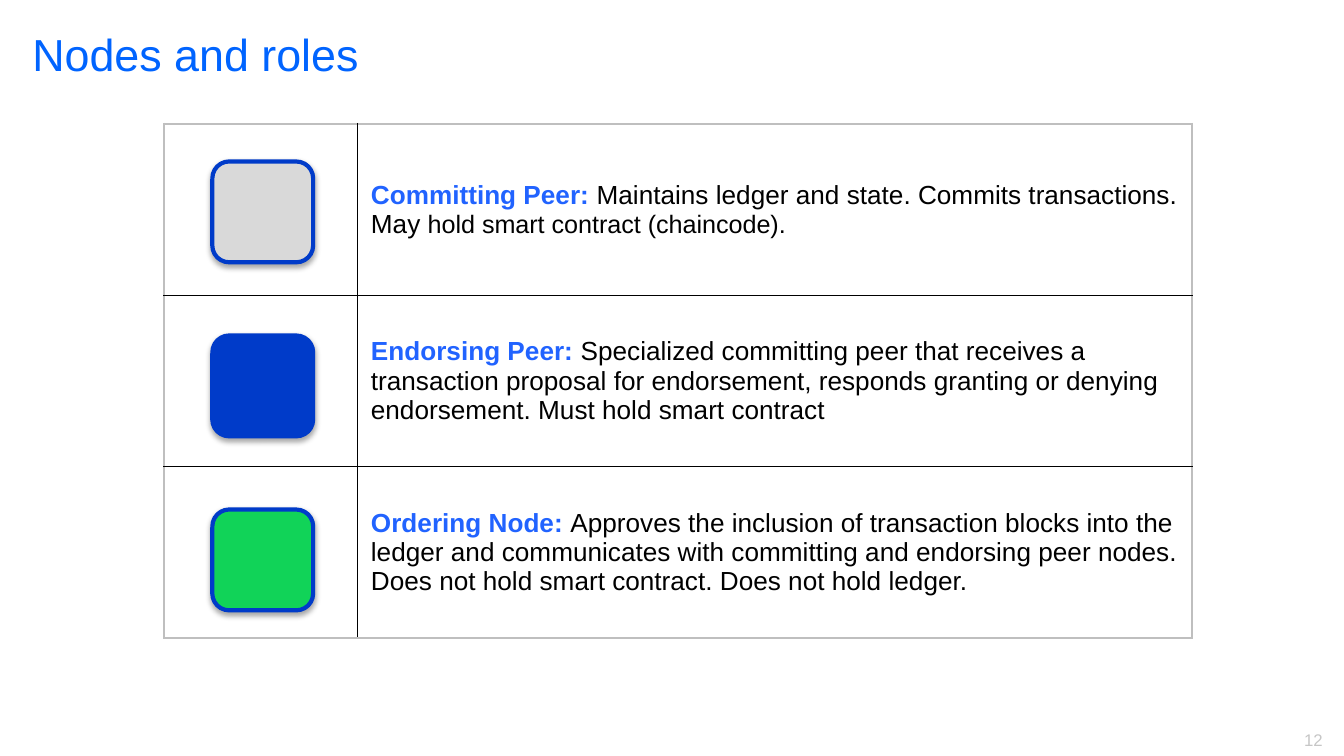
from dataclasses import dataclass

from lxml import etree
from pptx import Presentation, util as u
from pptx.dml.color import RGBColor
from pptx.enum import shapes, text
from pptx.oxml import ns

COLORS = {"title": "0064FF", "role": "2163FF", "text": "000000", "number": "C6C6C6",
          "frame": "BFBFBF", "rule": "000000", "outline": "003BC9", "committing": "D9D9D9",
          "endorsing": "003BC9", "ordering": "11D358"}
FONT = "Arial"
WIDTH = u.Inches(10)
HEIGHT = WIDTH * 9 // 16


@dataclass
class Box:
    """An area in percent of the slide's width and height."""
    left: float
    top: float
    width: float
    height: float

    def lengths(self) -> tuple:
        return (int(WIDTH * self.left / 100), int(HEIGHT * self.top / 100),
                int(WIDTH * self.width / 100), int(HEIGHT * self.height / 100))


@dataclass
class Role:
    name: str
    color: str
    description: str
    ending: str = ""


ROLES = [
    Role("Committing Peer:", "committing",
         " Maintains ledger and state. Commits transactions. May ",
         "hold smart contract (chaincode)."),
    Role("Endorsing Peer:", "endorsing",
         " Specialized committing peer that receives a transaction proposal for endorsement, "
         "responds granting or denying endorsement. Must hold smart contract"),
    Role("Ordering Node: ", "ordering",
         "Approves the inclusion of transaction blocks into the ledger and communicates with "
         "committing and endorsing peer nodes. Does not hold smart contract. "
         "Does not hold ledger."),
]
TITLE = Box(1.4, 2.84, 85, 19.73)
NUMBER = Box(93.6, 95.7, 5.8, 4.44)
TABLE = Box(12.2, 16.4, 76.5, 68)
TABLE_COLUMNS = (14.4, 62.1)
ICON = Box(15.8, 21.36, 7.5, 13.33)
ICON_PITCH = 23.02


def set_format(target, **values) -> None:
    for name, value in values.items():
        setattr(target, name, value)


def add_run(paragraph, words: str, color: str, size: float, bold: bool = False) -> None:
    run = paragraph.add_run()
    run.text = words
    set_format(run.font, name=FONT, size=u.Pt(size), bold=bold)
    run.font.color.rgb = RGBColor.from_string(COLORS[color])


def add_border(cell, side: str, color: str, points: float) -> None:
    line = etree.SubElement(cell._tc.get_or_add_tcPr(), ns.qn(f"a:ln{side}"),
                            w=str(u.Pt(points)))
    fill = etree.SubElement(line, ns.qn("a:solidFill"))
    etree.SubElement(fill, ns.qn("a:srgbClr"), val=COLORS[color])


def style_cell(cell, row: int, column: int) -> None:
    # Grey frame outside, black rules between cells
    edges = {"L": column == 0, "R": column == 1, "T": row == 0, "B": row == len(ROLES) - 1}
    outer_points = {"L": 0.75, "R": 1, "T": 1.5, "B": 1.5}
    inner_points = {"L": 1, "R": 1, "T": 0.75, "B": 0.75}
    for side, outer in edges.items():
        points = outer_points[side] if outer else inner_points[side]
        add_border(cell, side, "frame" if outer else "rule", points)
    cell.fill.background()
    cell.vertical_anchor = text.MSO_ANCHOR.MIDDLE


def add_role_table(slide) -> None:
    table = slide.shapes.add_table(len(ROLES), 2, *TABLE.lengths()).table
    set_format(table, first_row=False, horz_banding=False)
    for column, share in zip(table.columns, TABLE_COLUMNS):
        column.width = int(WIDTH * share / 100)
    for row, role in enumerate(ROLES):
        for column in range(2):
            style_cell(table.cell(row, column), row, column)
        paragraph = table.cell(row, 1).text_frame.paragraphs[0]
        add_run(paragraph, role.name, "role", 14, True)
        add_run(paragraph, role.description, "text", 14)
        if role.ending:
            add_run(paragraph, role.ending, "text", 13.5)


def add_shadow(shape) -> None:
    shape.shadow.inherit = False
    effects = shape._element.spPr.find(ns.qn("a:effectLst"))
    shadow = etree.SubElement(effects, ns.qn("a:outerShdw"), blurRad=str(u.Pt(3.1)),
                              dist=str(u.Pt(1.8)), dir="5400000", rotWithShape="0")
    color = etree.SubElement(shadow, ns.qn("a:srgbClr"), val=COLORS["text"])
    etree.SubElement(color, ns.qn("a:alpha"), val="35000")


def add_icon(slide, row: int, role: Role) -> None:
    box = Box(ICON.left, ICON.top + row * ICON_PITCH, ICON.width, ICON.height)
    icon = slide.shapes.add_shape(shapes.MSO_SHAPE.ROUNDED_RECTANGLE, *box.lengths())
    icon.fill.solid()
    icon.fill.fore_color.rgb = RGBColor.from_string(COLORS[role.color])
    icon.line.color.rgb = RGBColor.from_string(COLORS["outline"])
    icon.line.width = u.Pt(2.25)
    add_shadow(icon)


def add_title(slide) -> None:
    title = slide.shapes.title
    left, top, width, height = TITLE.lengths()
    set_format(title, left=left, top=top, width=width, height=height)
    set_format(title.text_frame, auto_size=text.MSO_AUTO_SIZE.NONE, word_wrap=True,
               vertical_anchor=text.MSO_ANCHOR.TOP, margin_top=u.Inches(0.04))
    paragraph = title.text_frame.paragraphs[0]
    paragraph.alignment = text.PP_ALIGN.LEFT
    add_run(paragraph, "Nodes and roles", "title", 24)


def add_slide_number(slide) -> None:
    frame = slide.shapes.add_textbox(*NUMBER.lengths()).text_frame
    set_format(frame, word_wrap=True, vertical_anchor=text.MSO_ANCHOR.MIDDLE)
    frame.paragraphs[0].alignment = text.PP_ALIGN.RIGHT
    add_run(frame.paragraphs[0], "12", "number", 9)


def main() -> None:
    presentation = Presentation()
    set_format(presentation, slide_width=WIDTH, slide_height=HEIGHT)
    slide = presentation.slides.add_slide(presentation.slide_layouts[5])

    # Title and page number
    add_slide_number(slide)
    add_title(slide)

    # Table of roles with one icon per row
    add_role_table(slide)
    for row, role in enumerate(ROLES):
        add_icon(slide, row, role)

    presentation.save("out.pptx")


if __name__ == "__main__":
    main()
